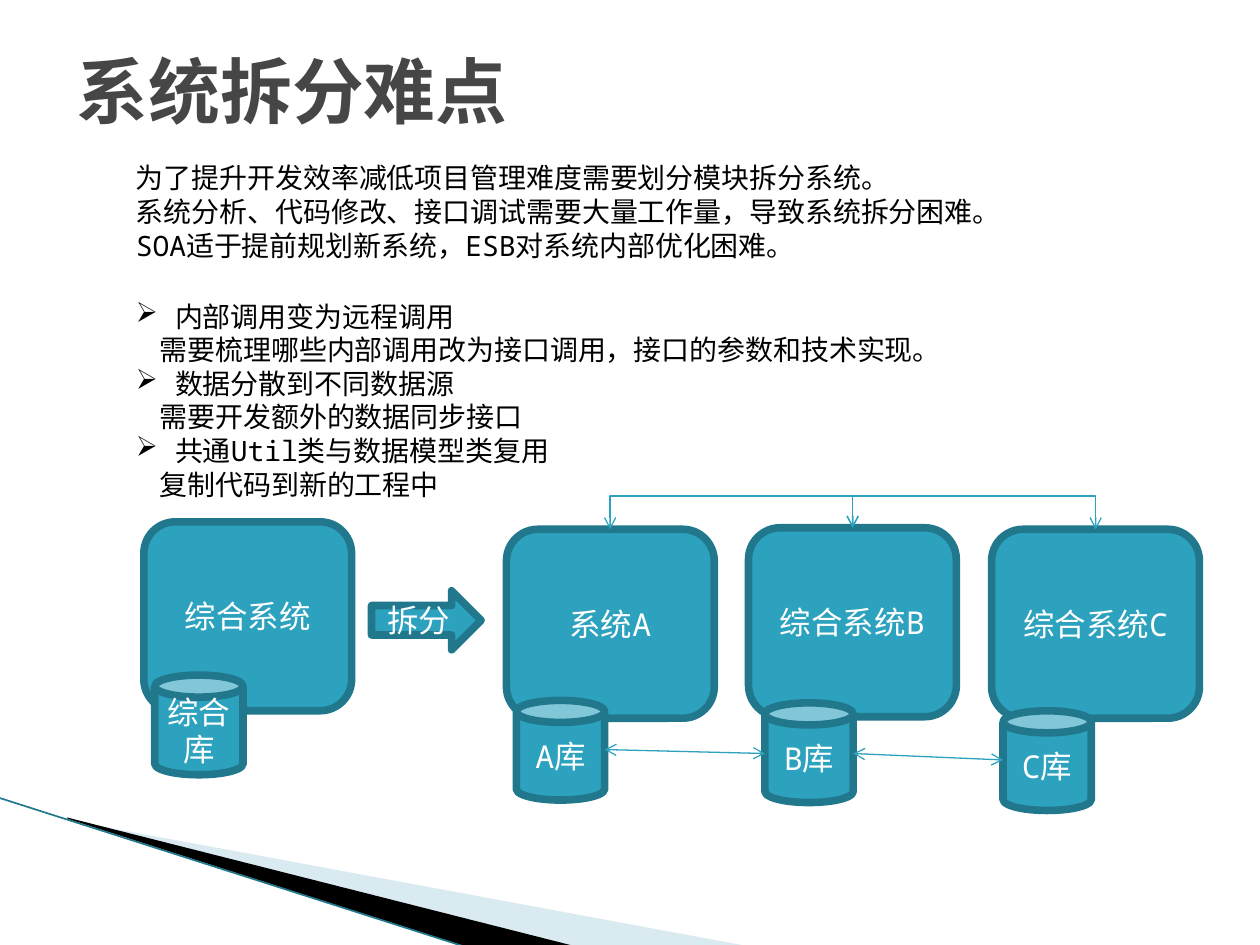
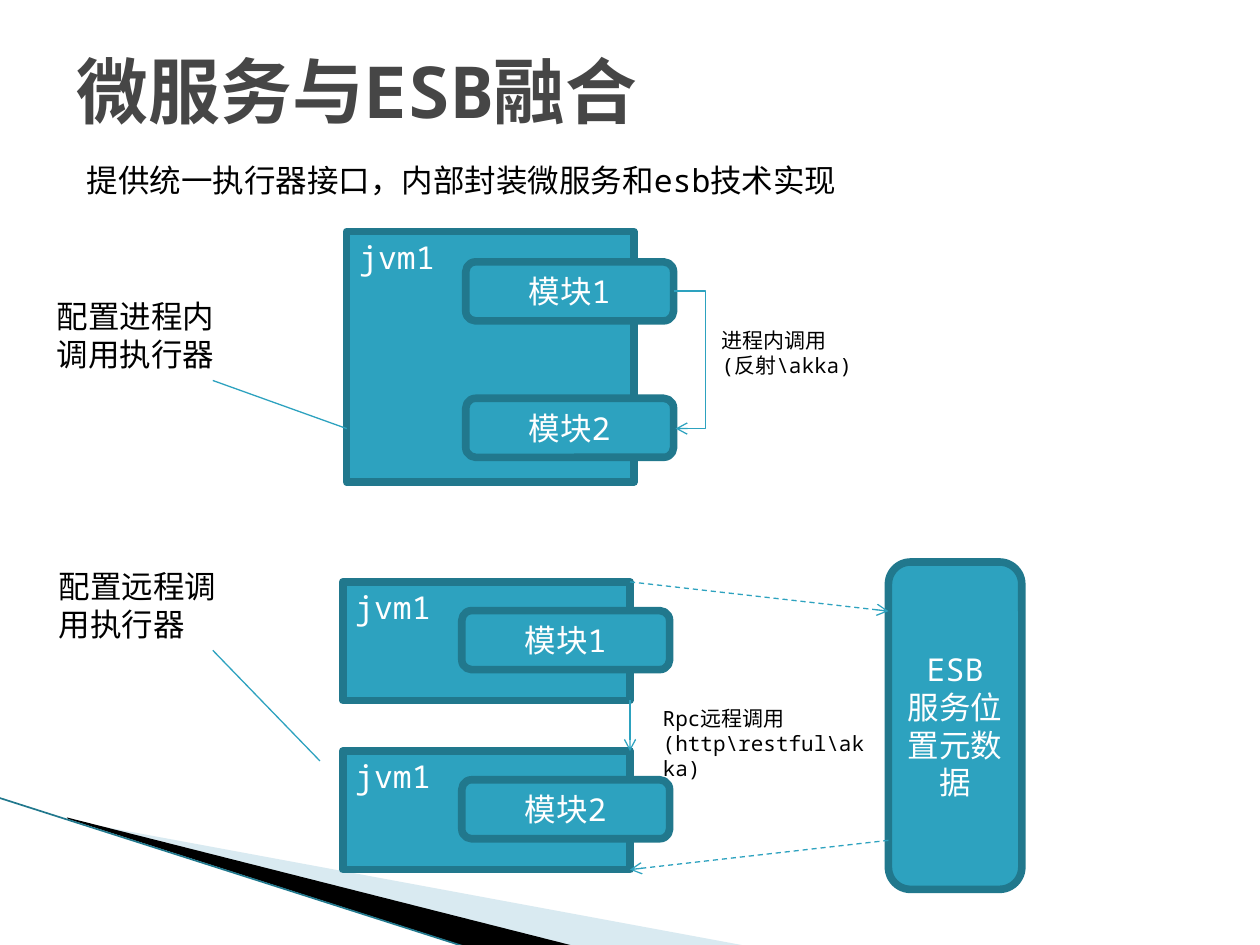
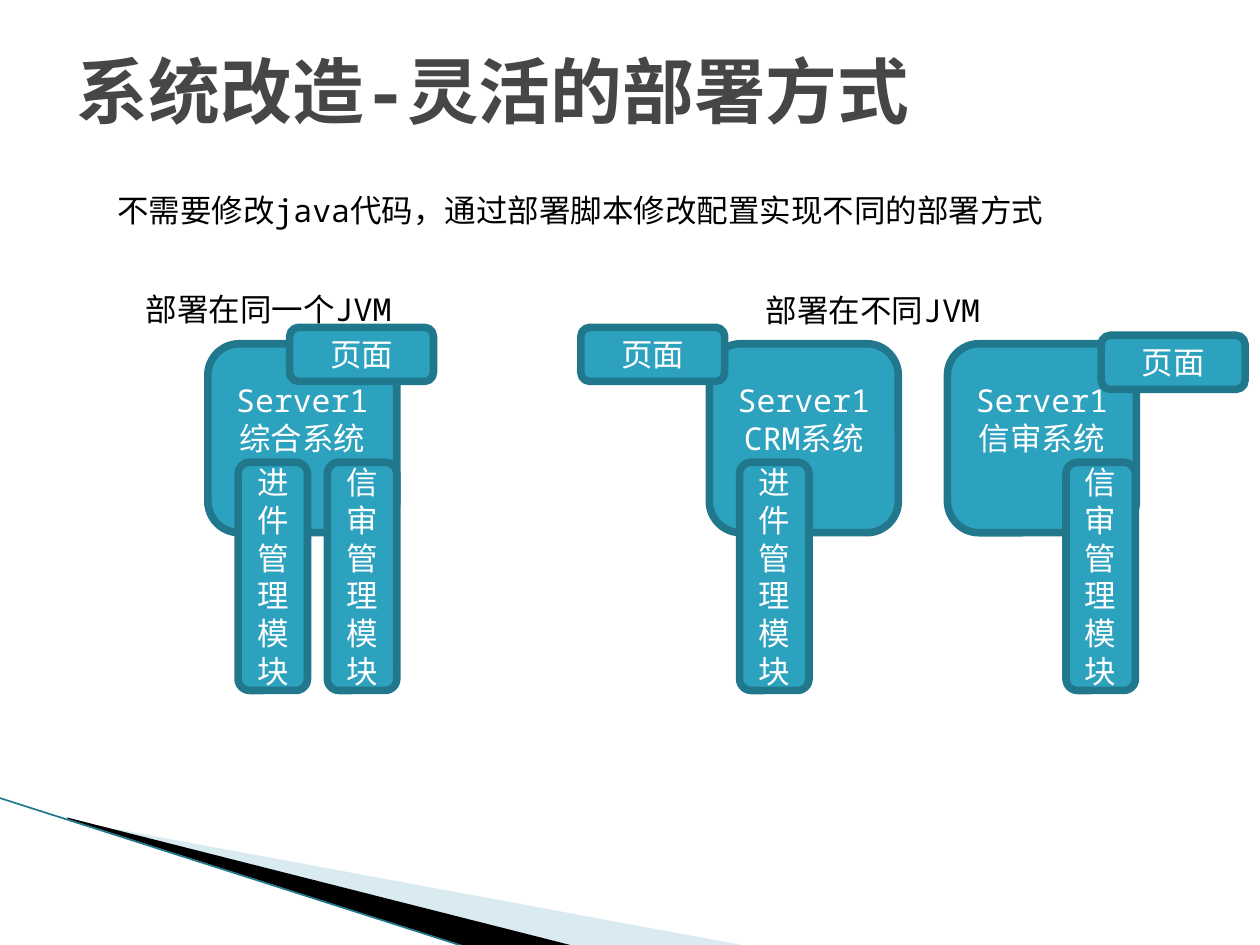
"""Build three slides on splitting a system, joining microservices with an ESB, and deployment."""
from lxml import etree
from pptx import Presentation
from pptx import util as u
from pptx.dml.color import RGBColor
from pptx.enum import dml, shapes, text
from pptx.oxml.ns import qn

FONT = "Noto Sans Mono"
TEAL = RGBColor(0x2D, 0xA2, 0xBF)
EDGE = RGBColor(0x21, 0x78, 0x8D)
PALE = RGBColor(0xA0, 0xCB, 0xDC)
GREY = RGBColor(0x46, 0x46, 0x46)
BLACK = RGBColor(0, 0, 0)
WHITE = RGBColor(0xFF, 0xFF, 0xFF)
RECT = shapes.MSO_SHAPE.RECTANGLE
ROUND = shapes.MSO_SHAPE.ROUNDED_RECTANGLE
CAN = shapes.MSO_SHAPE.CAN
ARROW = shapes.MSO_SHAPE.RIGHT_ARROW
STRAIGHT = shapes.MSO_CONNECTOR.STRAIGHT
ELBOW = shapes.MSO_CONNECTOR.ELBOW


def add(parent, tag, **attrs):
    return etree.SubElement(parent, qn(tag), attrs)


class Deck:
    """Hold the shared style and the current slide."""

    def __init__(self):
        self.prs = Presentation()
        self.prs.slide_width, self.prs.slide_height = u.Cm(25.4), u.Cm(19.05)

    def start(self, title):
        self.slide = self.prs.slides.add_slide(self.prs.slide_layouts[6])
        self.items = self.slide.shapes
        pale = self.band(PALE, (1.4, 16.54), (15.11, 19.08), (11.58, 19.08), (1.4, 16.51))
        add(pale.fill._xPr.find(".//" + qn("a:srgbClr")), "a:alpha", val="40000")
        self.band(BLACK, (1.35, 16.48), (11.61, 19.08), (9.45, 19.1), (1.37, 16.51))
        self.line(-0.03, 16.08, 9.42, 19.1, color=EDGE, width=0.95)
        head = self.note(1.3, 0.74, 22.86, 2.16, title, size=41, color=GREY, bold=True)
        head.text_frame.auto_size = text.MSO_AUTO_SIZE.NONE
        head.text_frame.vertical_anchor = text.MSO_ANCHOR.MIDDLE

    def band(self, color, *points):
        first, *rest = [(u.Cm(x), u.Cm(y)) for x, y in points]
        outline = self.items.build_freeform(*first)
        outline.add_line_segments(rest)
        shape = outline.convert_to_shape()
        shape.shadow.inherit = False
        shape.fill.solid()
        shape.fill.fore_color.rgb = color
        shape.line.fill.background()
        return shape

    def label(self, frame, words, size, color, align, bold=False):
        frame.word_wrap = True
        frame.text = words
        for para in frame.paragraphs:
            para.alignment = align
            font = para.font
            font.name, font.size, font.bold = FONT, u.Pt(size), bold
            font.color.rgb = color

    def note(self, x, y, w, h, words, size=18, color=BLACK, bold=False):
        box = self.items.add_textbox(*map(u.Cm, (x, y, w, h)))
        self.label(box.text_frame, words, size, color, text.PP_ALIGN.LEFT, bold)
        box.text_frame.auto_size = text.MSO_AUTO_SIZE.SHAPE_TO_FIT_TEXT
        return box

    def box(self, kind, x, y, w, h, words):
        shape = self.items.add_shape(kind, *map(u.Cm, (x, y, w, h)))
        shape.shadow.inherit = False
        shape.fill.solid()
        shape.fill.fore_color.rgb = TEAL
        shape.line.color.rgb = EDGE
        shape.line.width = u.Pt(4.33)
        plain = kind == RECT
        align = text.PP_ALIGN.LEFT if plain else text.PP_ALIGN.CENTER
        self.label(shape.text_frame, words, 18, WHITE, align)
        anchor = text.MSO_ANCHOR.TOP if plain else text.MSO_ANCHOR.MIDDLE
        shape.text_frame.vertical_anchor = anchor
        return shape

    def line(self, x1, y1, x2, y2, ends=(), dash=False, kind=STRAIGHT, color=TEAL, width=0.75):
        link = self.items.add_connector(kind, *map(u.Cm, (x1, y1, x2, y2)))
        link.line.color.rgb = color
        link.line.width = u.Pt(width)
        if dash:
            link.line.dash_style = dml.MSO_LINE.DASH
        for end in ends:
            add(link.line._get_or_add_ln(), f"a:{end}End", type="arrow")
        add(link._element.spPr, "a:effectLst")
        return link

    def bend(self, x1, y1, x2, y2, ratio, ends):
        link = self.line(x1, y1, x2, y2, ends, kind=ELBOW)
        guides = link._element.spPr.find(".//" + qn("a:avLst"))
        add(guides, "a:gd", name="adj1", fmla=f"val {round(ratio * 100000)}")
        return link

    def arch(self, x1, y1, x2, y2, top):
        """Join two points over a level above them, starting at the lower one."""
        midx, midy = (x1 + x2) / 2, (y1 + y2) / 2
        run, rise = (x2 - x1) / 2, (y1 - y2) / 2
        link = self.bend(midx + rise, midy + run, midx - rise, midy - run,
                         (y1 - top) / (y1 - y2), ("head", "tail"))
        link._element.spPr.find(qn("a:xfrm")).set("rot", "5400000")


def indent(para, left, mark=None):
    props = para._p.get_or_add_pPr()
    props.set("marL", str(u.Cm(left)))
    if mark:
        props.set("indent", str(-u.Cm(left)))
        bullet = etree.Element(qn("a:buChar"), char=mark)
        props.find(qn("a:defRPr")).addprevious(bullet)


def split(deck):
    deck.start("系统拆分难点")
    body = deck.note(2.49, 3.12, 19.61, 8.13, "\n".join((
        "为了提升开发效率减低项目管理难度需要划分模块拆分系统。",
        "系统分析、代码修改、接口调试需要大量工作量，导致系统拆分困难。",
        "SOA适于提前规划新系统，ESB对系统内部优化困难。",
        "内部调用变为远程调用",
        "需要梳理哪些内部调用改为接口调用，接口的参数和技术实现。",
        "数据分散到不同数据源",
        "需要开发额外的数据同步接口",
        "共通Util类与数据模型类复用",
        "复制代码到新的工程中")), size=16)
    paras = body.text_frame.paragraphs
    paras[2].space_after = u.Pt(21.4)
    for point, detail in zip(paras[3::2], paras[4::2]):
        indent(point, 0.79, "➢")
        indent(detail, 0.48)
    for x, y, name, canx, cany, store in (
            (2.9, 10.52, "综合系统", 3.12, 13.61, "综合库"),
            (10.21, 10.67, "系统A", 10.41, 14.12, "A库"),
            (15.09, 10.64, "综合系统B", 15.42, 14.17, "B库"),
            (19.99, 10.67, "综合系统C", 20.22, 14.33, "C库")):
        deck.box(ROUND, x, y, 4.19, 3.81, name)
        deck.box(CAN, canx, cany, 1.78, 2.01, store)
    for x in (12.3, 22.09):
        deck.arch(x, 10.67, 17.19, 10.64, 10)
    both = ("head", "tail")
    deck.line(12.19, 15.11, 15.42, 15.19, both)
    deck.line(17.2, 15.19, 20.22, 15.32, both)
    deck.box(ARROW, 7.49, 11.91, 2.21, 1.19, "拆分")


def merge(deck):
    deck.start("微服务与ESB融合")
    deck.box(ROUND, 17.91, 11.33, 2.69, 6.6, "ESB\n服务位置元数据")
    for x, y, h, mods in (
            (6.91, 11.73, 2.39, (("模块1", 0.58),)),
            (6.91, 15.14, 2.39, (("模块2", 0.58),)),
            (6.99, 4.67, 5.05, (("模块1", 0.61), ("模块2", 3.36)))):
        deck.box(RECT, x, y, 5.79, h, "jvm1")
        for name, drop in mods:
            deck.box(ROUND, x + 2.4, y + drop, 4.19, 1.19, name)
    tail = ("tail",)
    deck.line(12.7, 11.73, 17.91, 12.32, tail, dash=True)
    deck.line(17.91, 16.94, 12.7, 17.53, tail, dash=True)
    deck.line(12.7, 14.12, 12.7, 15.14, tail)
    deck.bend(13.59, 5.87, 13.62, 8.64, 21, tail)
    deck.line(4.29, 7.67, 6.99, 8.64)
    deck.line(4.29, 13.11, 6.45, 15.34)
    deck.note(13.11, 14.1, 4.6, 1.27, "Rpc远程调用\n(http\\restful\\akka)", size=12)
    deck.note(14.3, 6.48, 4.6, 1.27, "进程内调用\n(反射\\akka)", size=12)
    deck.note(0.89, 5.87, 4.19, 1.8, "配置进程内调用执行器")
    deck.note(0.94, 11.3, 4.19, 1.8, "配置远程调用执行器")
    deck.note(1.5, 3.12, 17.4, 1.02, "提供统一执行器接口，内部封装微服务和esb技术实现")


def deploy(deck):
    deck.start("系统改造-灵活的部署方式")
    deck.note(2.69, 5.72, 5.79, 1.02, "部署在同一个JVM")
    deck.note(15.19, 5.74, 5.79, 1.02, "部署在不同JVM")
    entry, audit = "进件管理模块", "信审管理模块"
    for x, name, mods, pagex, pagey in (
            (4.19, "综合系统", ((entry, 0.61), (audit, 2.41)), 5.84, 6.6),
            (14.3, "CRM系统", ((entry, 0.61),), 11.71, 6.6),
            (19.1, "信审系统", ((audit, 2.39),), 22.2, 6.76)):
        host = deck.box(ROUND, x, 6.93, 3.81, 3.81, "Server1\n" + name)
        host.text_frame.margin_bottom = u.Cm(0.89)
        for label, shift in mods:
            deck.box(ROUND, x + shift, 9.32, 1.4, 4.6, label)
        deck.box(ROUND, pagex, pagey, 2.9, 1.09, "页面")
    deck.note(2.11, 3.73, 19.41, 1.02, "不需要修改java代码，通过部署脚本修改配置实现不同的部署方式")


deck = Deck()
for build in (split, merge, deploy):
    build(deck)
deck.prs.save("out.pptx")
